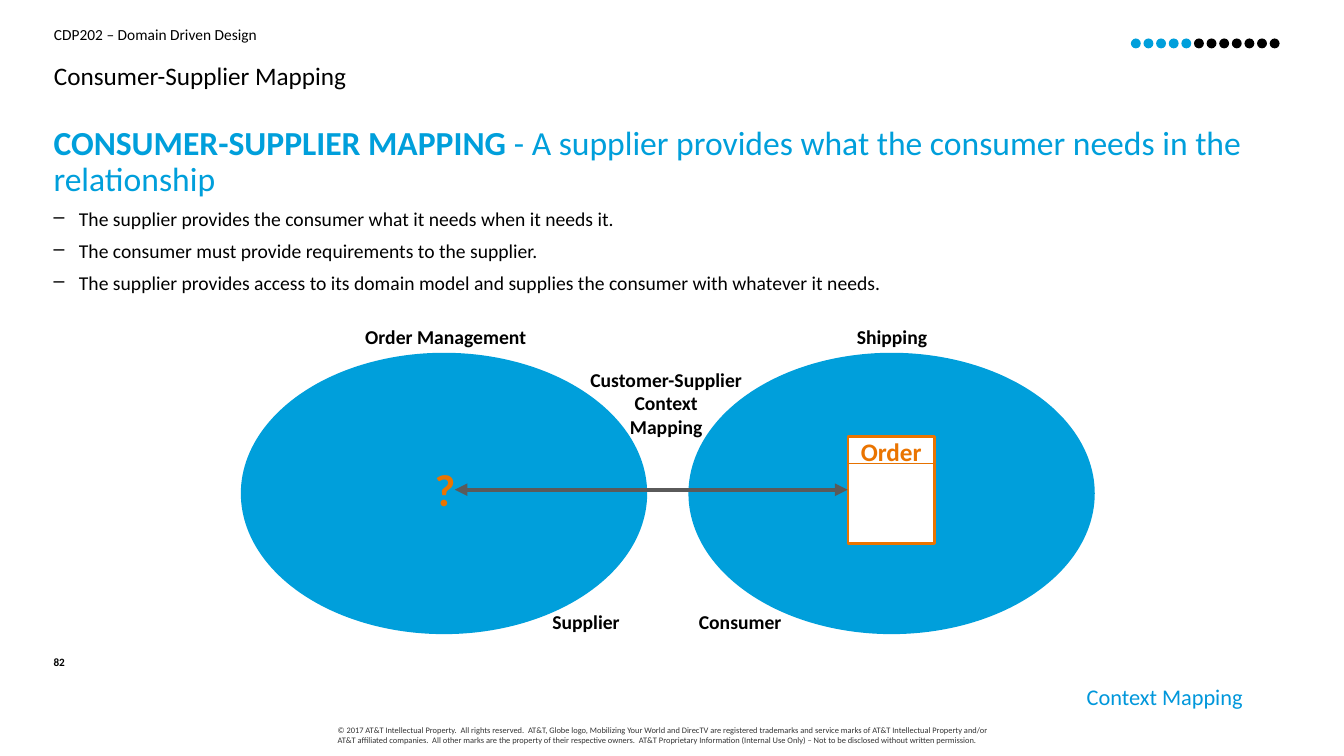
from lxml.etree import SubElement
from pptx import Presentation
from pptx.dml.color import RGBColor
from pptx.enum.shapes import MSO_CONNECTOR, MSO_SHAPE
from pptx.enum.text import PP_ALIGN
from pptx.oxml.ns import qn
from pptx.util import Cm, Pt

BLUE, BLACK, ORANGE = "009FDB", "000000", "EA7400"
LEFT, CENTER, RIGHT = PP_ALIGN.LEFT, PP_ALIGN.CENTER, PP_ALIGN.RIGHT


def paint(color_format, hex_color):
    color_format.rgb = RGBColor.from_string(hex_color)


def write(tf, lines, size, color=BLACK, bold=False, align=LEFT, wrap=True, inset=0):
    """Fill a frame with one paragraph per line; a line is a list of (text, bold) or a string."""
    frame = {"word_wrap": wrap, "margin_left": Cm(2 * inset), "margin_right": Cm(2 * inset),
             "margin_top": Cm(inset), "margin_bottom": Cm(inset)}
    for name, value in frame.items():
        setattr(tf, name, value)
    for i, line in enumerate(lines):
        p = tf.paragraphs[0] if i == 0 else tf.add_paragraph()
        p.alignment = align
        for text, heavy in [(line, bold)] if isinstance(line, str) else line:
            r = p.add_run()
            r.text = text
            for name, value in {"name": "Calibri", "size": Pt(size), "bold": heavy}.items():
                setattr(r.font, name, value)
            paint(r.font.color, color)
    return tf.paragraphs


prs = Presentation()
prs.slide_width, prs.slide_height = Cm(33.87), Cm(19.05)
s = prs.slides.add_slide(prs.slide_layouts[6])

# Header, footer and page number
COPYRIGHT = (
    "© 2017 AT&T Intellectual Property.  All rights reserved.  AT&T, Globe logo, Mobilizing Your World "
    "and DirecTV are registered trademarks and service marks of AT&T Intellectual Property and/or AT&T "
    "affiliated companies.  All other marks are the property of their respective owners.  AT&T Proprietary "
    "Information (Internal Use Only) – Not to be disclosed without written permission.")
boxes = [
    (1.36, 0.64, 31.14, 0.51, "CDP202 – Domain Driven Design", dict(size=11)),
    (8.51, 18.26, 16.87, 0.61, COPYRIGHT, dict(size=6, color="343434")),
    (1.35, 16.51, 0.81, 0.64, "82", dict(size=8, bold=True)),
    (26.29, 17.09, 5.28, 0.94, "Context Mapping",
     dict(size=16, color="0097DB", align=RIGHT, inset=0.127)),
]
for x, y, w, h, text, style in boxes:
    write(s.shapes.add_textbox(Cm(x), Cm(y), Cm(w), Cm(h)).text_frame, [text], **style)

title = s.shapes.add_textbox(Cm(1.36), Cm(1.45), Cm(31.14), Cm(0.94))
write(title.text_frame, ["Consumer-Supplier Mapping"], 18)[0].line_spacing = 1.1

# Definition and bullets
body = s.shapes.add_textbox(Cm(1.35), Cm(3.18), Cm(31.14), Cm(13.36))
points = [
    "The supplier provides the consumer what it needs when it needs it.",
    "The consumer must provide requirements to the supplier.",
    "The supplier provides access to its domain model and supplies the consumer with whatever it needs.",
]
definition = [("CONSUMER-SUPPLIER MAPPING ", True),
              ("- A supplier provides what the consumer needs in the relationship", False)]
paragraphs = write(body.text_frame, [definition] + points, 14)
paragraphs[0].line_spacing = 0.9
for r in paragraphs[0].runs:
    r.font.size = Pt(24)
    paint(r.font.color, BLUE)
for p in paragraphs:
    p.space_after = Pt(6)
for p in paragraphs[1:]:
    pPr = p._p.get_or_add_pPr()
    pPr.set("marL", str(Cm(0.64)))
    pPr.set("indent", str(-Cm(0.64)))
    SubElement(pPr, qn("a:buChar")).set("char", "–")

# Ellipses: the two contexts, then the progress dots
DOTS, DOTS_DONE = 12, 5
ellipses = [(x, 8.89, 10.24, 7.09, BLUE) for x in (6.07, 17.35)]
ellipses += [(28.5 + 0.318 * i, 0.97, 0.25, 0.25, BLUE if i < DOTS_DONE else BLACK)
             for i in range(DOTS)]
for x, y, w, h, color in ellipses:
    sp = s.shapes.add_shape(MSO_SHAPE.OVAL, Cm(x), Cm(y), Cm(w), Cm(h))
    sp.shadow.inherit = False
    sp.fill.solid()
    paint(sp.fill.fore_color, color)
    sp.line.fill.background()

# Order entity
order = s.shapes.add_shape(MSO_SHAPE.RECTANGLE, Cm(21.37), Cm(11), Cm(2.18), Cm(2.7))
order.shadow.inherit = False
order.fill.solid()
paint(order.fill.fore_color, "FFFFFF")
paint(order.line.color, ORANGE)
order.line.width = Pt(2)
order.text_frame.vertical_anchor = 1
write(order.text_frame, ["Order"], 18, ORANGE, True, CENTER)

# Divider in the entity and the arrow between contexts
for x1, x2, y, color, width, ends in [
    (21.39, 23.57, 11.68, "E57100", 0.75, ()),
    (11.46, 21.36, 12.34, "5A5A5A", 3, ("a:headEnd", "a:tailEnd")),
]:
    line = s.shapes.add_connector(MSO_CONNECTOR.STRAIGHT, Cm(x1), Cm(y), Cm(x2), Cm(y))
    paint(line.line.color, color)
    line.line.width = Pt(width)
    for end in ends:
        SubElement(line.line._get_or_add_ln(), qn(end)).set("type", "triangle")
    SubElement(line._element.spPr, qn("a:effectLst"))

# Diagram labels
for x, y, w, h, lines, size, color in [
    (9.19, 8.2, 4.09, 0.61, ["Order Management"], 14, BLACK),
    (21.59, 8.2, 1.78, 0.61, ["Shipping"], 14, BLACK),
    (14.86, 9.27, 3.86, 1.8, ["Customer-Supplier", "Context", "Mapping"], 14, BLACK),
    (10.95, 11.63, 0.53, 1.37, ["?"], 32, ORANGE),
    (13.92, 15.37, 1.7, 0.61, ["Supplier"], 14, BLACK),
    (17.6, 15.37, 2.11, 0.61, ["Consumer"], 14, BLACK),
]:
    label = s.shapes.add_textbox(Cm(x), Cm(y), Cm(w), Cm(h))
    write(label.text_frame, lines, size, color, True, CENTER, wrap=False)

prs.save("out.pptx")
